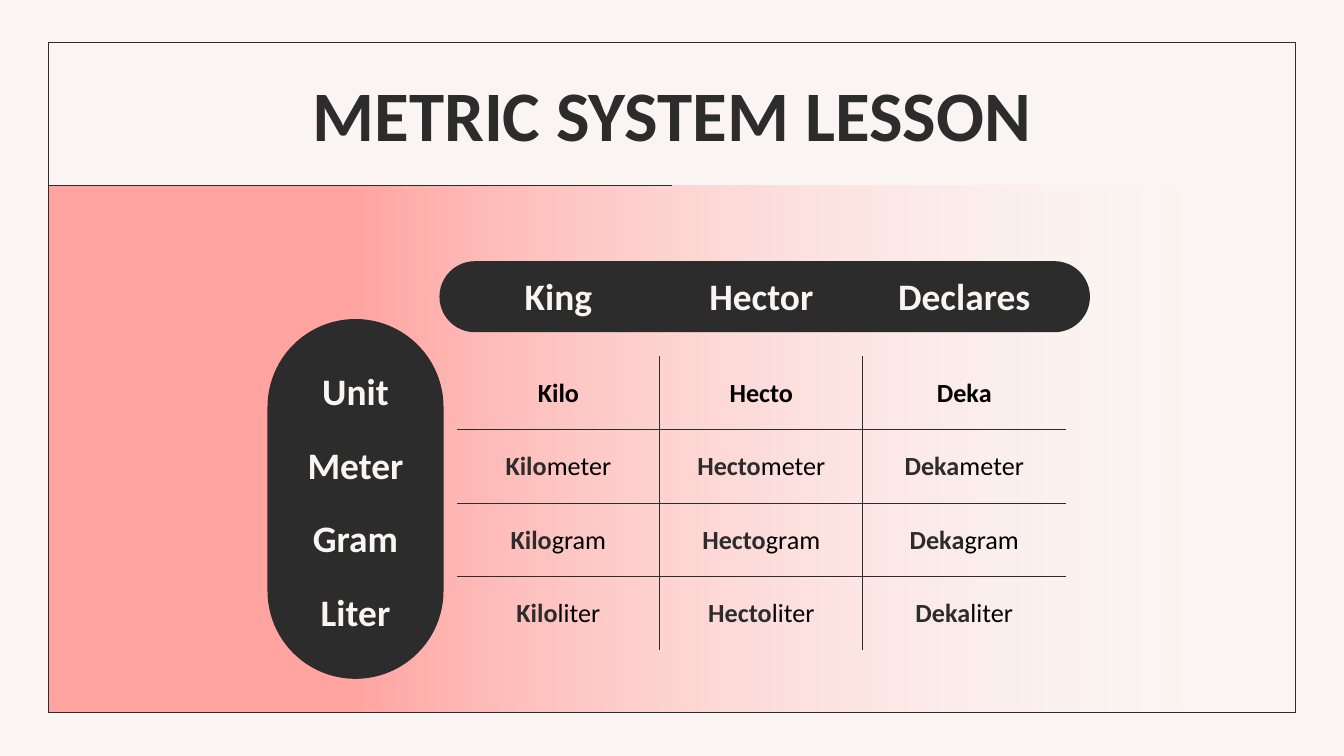
from lxml import etree
from pptx import Presentation
from pptx.dml.color import RGBColor
from pptx.enum.shapes import MSO_CONNECTOR, MSO_SHAPE
from pptx.enum.text import MSO_ANCHOR, PP_ALIGN
from pptx.oxml import parse_xml
from pptx.oxml.ns import nsdecls, qn
from pptx.util import Inches, Pt

RECT, PILL = MSO_SHAPE.RECTANGLE, MSO_SHAPE.ROUNDED_RECTANGLE
LINE = MSO_CONNECTOR.STRAIGHT
MIDDLE, CENTER = MSO_ANCHOR.MIDDLE, PP_ALIGN.CENTER
CREAM = RGBColor(0xFA, 0xF5, 0xF2)
DARK = RGBColor(0x2C, 0x2C, 0x2C)
BLACK = RGBColor(0, 0, 0)
PINK = RGBColor(0xFF, 0xA4, 0xA1)
WHITE = RGBColor(0xFF, 0xFF, 0xFF)
FONT = "Calibri"
THIN = Pt(0.75)

deck = Presentation()
deck.slide_width, deck.slide_height = Inches(10), Inches(5.625)
COL, ROW = deck.slide_width / 100, deck.slide_height / 100
slide = deck.slides.add_slide(deck.slide_layouts[6])
slide.background.fill.solid()
slide.background.fill.fore_color.rgb = CREAM
shapes = slide.shapes


def place(x, y, w, h):
    return [int(n) for n in (x * COL, y * ROW, w * COL, h * ROW)]


def write(para, parts):
    para.alignment = CENTER
    for text, size, color, bold in parts:
        run = para.add_run()
        run.text = text
        font = run.font
        font.name, font.size, font.bold = FONT, Pt(size), bold
        font.color.rgb = color


left, wide, split = 3.6, 92.8, 24.5
band = shapes.add_shape(RECT, *place(left, split, wide, 69.8))
band.shadow.inherit = False
band.line.fill.background()
band.fill.gradient()
band.fill.gradient_angle = 0
stops = band.fill._fill._gradFill.find(qn("a:gsLst"))
for stop in list(stops):
    stops.remove(stop)
for spot, color, alpha in [(0, PINK, 100), (24, PINK, 100), (100, WHITE, 0)]:
    stops.append(parse_xml(
        f'<a:gs {nsdecls("a")} pos="{spot * 1000}"><a:srgbClr val="{color}">'
        f'<a:alpha val="{alpha * 1000}"/></a:srgbClr></a:gs>'))

frame = shapes.add_shape(RECT, *place(left, 5.65, wide, 88.6))
frame.shadow.inherit = False
frame.fill.background()
frame.line.color.rgb, frame.line.width = DARK, THIN

x, y, end, _ = place(left, split, 50, 0)
rule = shapes.add_connector(LINE, x, y, end, y)
rule.line.color.rgb, rule.line.width = DARK, THIN
etree.SubElement(rule._element.spPr, qn("a:effectLst"))

for box in [(32.7, 34.55, 48.4, 9.4), (19.9, 42.2, 13.1, 47.6)]:
    pill = shapes.add_shape(PILL, *place(*box))
    pill.adjustments[0] = 0.5
    pill.shadow.inherit = False
    pill.fill.solid()
    pill.fill.fore_color.rgb = DARK
    pill.line.fill.background()

title = shapes.add_textbox(*place(8, 9.4, 84, 11.2)).text_frame
title.word_wrap = True
title.vertical_anchor = MIDDLE
title.margin_left = title.margin_right = Inches(0.1)
title.margin_top = title.margin_bottom = Inches(0.1)
write(title.paragraphs[0], [("METRIC SYSTEM LESSON", 38, DARK, True)])

heads = ["King", "Hector", "Declares"]
stems = ["Kilo", "Hecto", "Deka"]
units = ["Unit", "Meter", "Gram", "Liter"]
span, head, step = 15.1, 15.5, 9.72
rows, cols = len(units) + 1, len(heads) + 1
grid = shapes.add_table(
    rows, cols, *place(18.9, 31.65, cols * span, head + step * len(units))).table
for col in grid.columns:
    col.width = int(span * COL)
for r, row in enumerate(grid.rows):
    row.height = int((step if r else head) * ROW)
    for c, cell in enumerate(row.cells):
        cell.vertical_anchor = MIDDLE
        cell.margin_left = cell.margin_right = Inches(0.1)
        cell.margin_top = cell.margin_bottom = Inches(0.1)
        cell.fill.background()
        body = r > 0 and c > 0
        edges = {"lnL": body and c > 1, "lnR": body and c < cols - 1,
                 "lnT": body and r > 1, "lnB": body and r < rows - 1}
        for i, (tag, drawn) in enumerate(edges.items()):
            paint = (f'<a:solidFill><a:srgbClr val="{DARK}"/></a:solidFill>'
                     if drawn else "<a:noFill/>")
            cell._tc.get_or_add_tcPr().insert(i, parse_xml(
                f'<a:{tag} {nsdecls("a")} w="{THIN}">{paint}</a:{tag}>'))
        if body and r == 1:
            parts = [(stems[c - 1], 14, BLACK, True)]
        elif body:
            parts = [(stems[c - 1], 14, DARK, True),
                     (units[r - 1].lower(), 14, BLACK, False)]
        elif r or c:
            label = units[r - 1] if r else heads[c - 1]
            parts = [(label, 20, CREAM, True)]
        else:
            parts = []
        write(cell.text_frame.paragraphs[0], parts)

deck.save("out.pptx")
